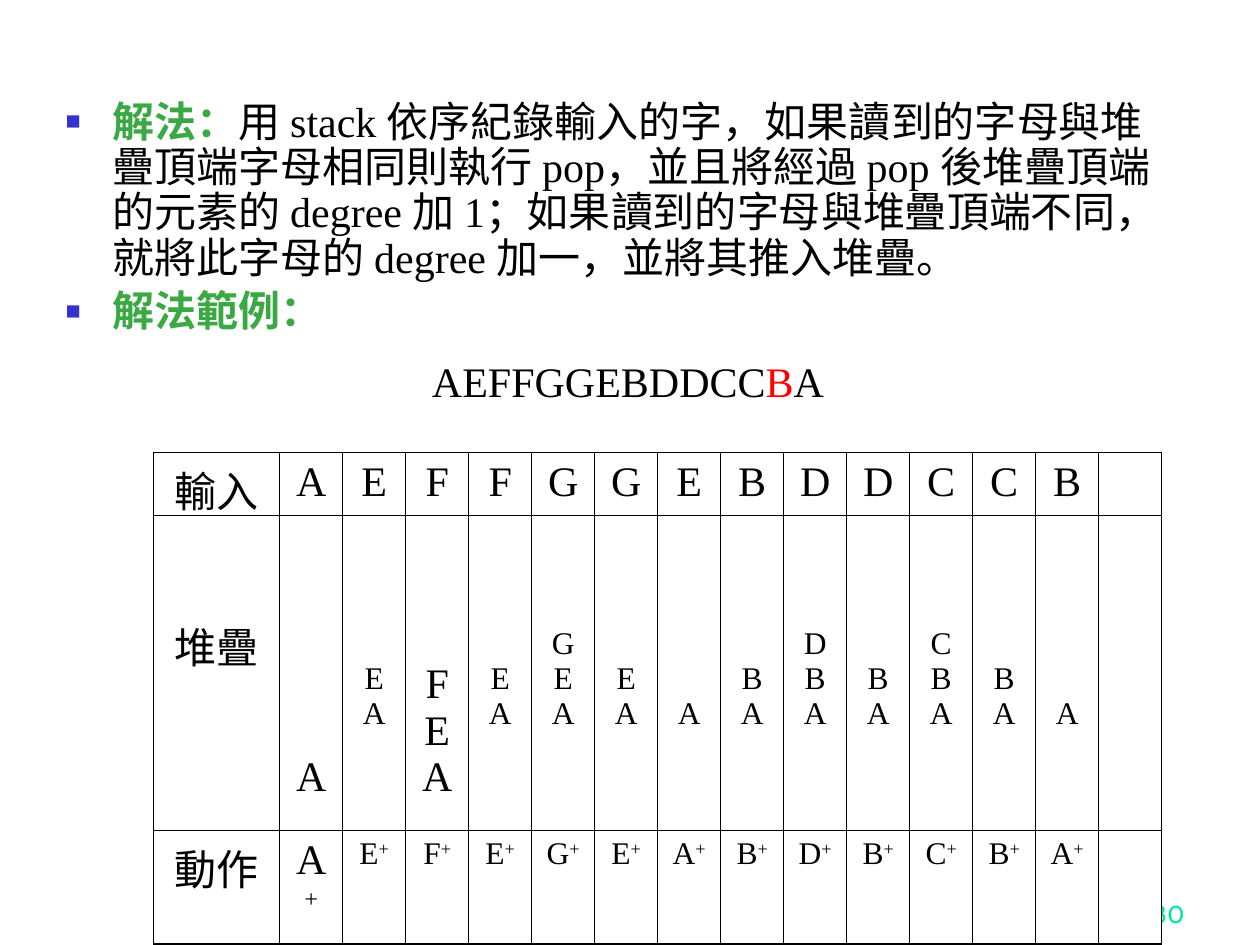
from dataclasses import dataclass

from lxml import etree
from pptx import Presentation
from pptx.dml.color import RGBColor
from pptx.enum.text import MSO_ANCHOR, MSO_AUTO_SIZE, PP_ALIGN
from pptx.oxml.ns import qn
from pptx.util import Pt

CENTER, RIGHT = PP_ALIGN.CENTER, PP_ALIGN.RIGHT
TOP, BOTTOM = MSO_ANCHOR.TOP, MSO_ANCHOR.BOTTOM
NO_AUTOFIT, GROW = MSO_AUTO_SIZE.NONE, MSO_AUTO_SIZE.SHAPE_TO_FIT_TEXT

BLACK = RGBColor(0x00, 0x00, 0x00)
WHITE = RGBColor(0xFF, 0xFF, 0xFF)
RED = RGBColor(0xFF, 0x00, 0x00)
GREEN = RGBColor(0x3B, 0xA9, 0x43)
BLUE = RGBColor(0x33, 0x33, 0xCC)
MINT = RGBColor(0x00, 0xE4, 0xA8)

SERIF = "Times New Roman"
LARGE, SMALL = 24, 18
LINE_PITCH = {LARGE: 26.6, SMALL: 20}  # line height by text size
CELL_MARGIN = 3.6
STACK_DEPTH = 6  # lines in a stack cell
LABEL_WIDTH, STEP_WIDTH = 72, 36
ROW_HEIGHTS = (36, 180, 64.8)


@dataclass
class Step:
    letter: str
    stack: str  # from top to bottom
    action: str
    stack_size: int = SMALL
    action_size: int = SMALL


STEPS = [
    Step("A", "A", "A", LARGE, LARGE),
    Step("E", "EA", "E"),
    Step("F", "FEA", "F", LARGE),
    Step("F", "EA", "E"),
    Step("G", "GEA", "G"),
    Step("G", "EA", "E"),
    Step("E", "A", "A"),
    Step("B", "BA", "B"),
    Step("D", "DBA", "D"),
    Step("D", "BA", "B"),
    Step("C", "CBA", "C"),
    Step("C", "BA", "B"),
    Step("B", "A", "A"),
]


def style(font, size: float, color: RGBColor = BLACK, name: str = SERIF) -> None:
    font.size, font.name = Pt(size), name
    font.color.rgb = color


def add_run(paragraph, text: str, color: RGBColor, bold: bool = False) -> None:
    run = paragraph.add_run()
    run.text = text
    run.font.color.rgb = color
    run.font.bold = bold


def add_square_bullet(paragraph) -> None:
    props = paragraph._p.get_or_add_pPr()
    props.set("marL", str(Pt(27)))
    props.set("indent", str(Pt(-27)))
    bullet_color = etree.SubElement(props, qn("a:buClr"))
    etree.SubElement(bullet_color, qn("a:srgbClr")).set("val", str(BLUE))
    etree.SubElement(props, qn("a:buSzPct")).set("val", "60000")
    etree.SubElement(props, qn("a:buChar")).set("char", "■")


def frame_cell(cell) -> None:
    """Give a cell thin black borders and a white fill."""
    props = cell._tc.get_or_add_tcPr()
    for side in ("lnL", "lnR", "lnT", "lnB"):
        line = etree.SubElement(props, qn(f"a:{side}"))
        line.set("w", str(Pt(1)))
        fill = etree.SubElement(line, qn("a:solidFill"))
        etree.SubElement(fill, qn("a:srgbClr")).set("val", str(BLACK))
    cell.fill.solid()
    cell.fill.fore_color.rgb = WHITE


def fill_cell(cell, lines: list[str], size: int = LARGE, lines_above: int = 0):
    """Write centred lines, lowered by a number of lines; return the last one."""
    cell.vertical_anchor = TOP
    cell.margin_top = Pt(CELL_MARGIN + lines_above * LINE_PITCH[size])
    cell.text = "\n".join(lines)
    for paragraph in cell.text_frame.paragraphs:
        paragraph.alignment = CENTER
        for run in paragraph.runs:
            style(run.font, size)
    return cell.text_frame.paragraphs[-1]


def fill_step(table, column: int, step: Step) -> None:
    fill_cell(table.cell(0, column), [step.letter])
    fill_cell(table.cell(1, column), list(step.stack), step.stack_size,
              STACK_DEPTH - len(step.stack))
    action = fill_cell(table.cell(2, column), [step.action], step.action_size)
    plus = action.add_run()
    plus.text = "+"
    style(plus.font, step.action_size)
    plus._r.get_or_add_rPr().set("baseline", "30000")


def main() -> None:
    deck = Presentation()
    deck.slide_width, deck.slide_height = Pt(720), Pt(540)
    slide = deck.slides.add_slide(deck.slide_layouts[1])
    shapes = slide.shapes
    title = shapes.title
    title._element.getparent().remove(title._element)

    # Page number, partly behind the table
    page_number = shapes.add_textbox(Pt(534.24), Pt(498.24), Pt(149.76), Pt(36)).text_frame
    page_number.word_wrap = True
    page_number.vertical_anchor = BOTTOM
    page_number.text = "30"
    page_number.paragraphs[0].alignment = RIGHT
    style(page_number.paragraphs[0].font, 14, MINT, "Cabin")

    # Solution
    solution = slide.placeholders[1]
    solution.left, solution.top = Pt(30.24), Pt(54)
    solution.width, solution.height = Pt(635.76), Pt(442.8)
    solution.text_frame.auto_size = NO_AUTOFIT
    method = solution.text_frame.paragraphs[0]
    example = solution.text_frame.add_paragraph()
    for paragraph, gap in ((method, 0), (example, 4.8)):
        add_square_bullet(paragraph)
        paragraph.line_spacing = 0.9
        paragraph.space_before = Pt(gap)
        style(paragraph.font, LARGE)
    add_run(method, "解法：", GREEN, True)
    add_run(method, "用 stack 依序紀錄輸入的字，如果讀到的字母與堆疊頂端字母相同則執行 pop，"
            "並且將經過 pop 後堆疊頂端的元素的 degree 加 1；如果讀到的字母與堆疊頂端不同，"
            "就將此字母的 degree 加一，並將其推入堆疊。", BLACK)
    add_run(example, "解法範例：", GREEN, True)

    # Example sequence
    sequence = shapes.add_textbox(Pt(239.76), Pt(199.44), Pt(241.2), Pt(36)).text_frame
    sequence.word_wrap = False
    sequence.auto_size = GROW
    letters = sequence.paragraphs[0]
    style(letters.font, LARGE)
    for text, color in (("AEFFGGEBDDCC", BLACK), ("B", RED), ("A", BLACK)):
        add_run(letters, text, color)

    # Trace table, with one empty column at the end
    column_count = len(STEPS) + 2
    trace = shapes.add_table(
        len(ROW_HEIGHTS), column_count, Pt(87.84), Pt(258.48),
        Pt(LABEL_WIDTH + STEP_WIDTH * (column_count - 1)), Pt(sum(ROW_HEIGHTS))).table
    trace.first_row = trace.horz_banding = False
    for row, height in zip(trace.rows, ROW_HEIGHTS):
        row.height = Pt(height)
    for index, column in enumerate(trace.columns):
        column.width = Pt(STEP_WIDTH if index else LABEL_WIDTH)
    for cell in trace.iter_cells():
        frame_cell(cell)
    for row, (label, lines_above) in enumerate((("輸入", 0), ("堆疊", 2), ("動作", 0))):
        fill_cell(trace.cell(row, 0), [label], LARGE, lines_above)
    for column, step in enumerate(STEPS, start=1):
        fill_step(trace, column, step)

    deck.save("out.pptx")


if __name__ == "__main__":
    main()
